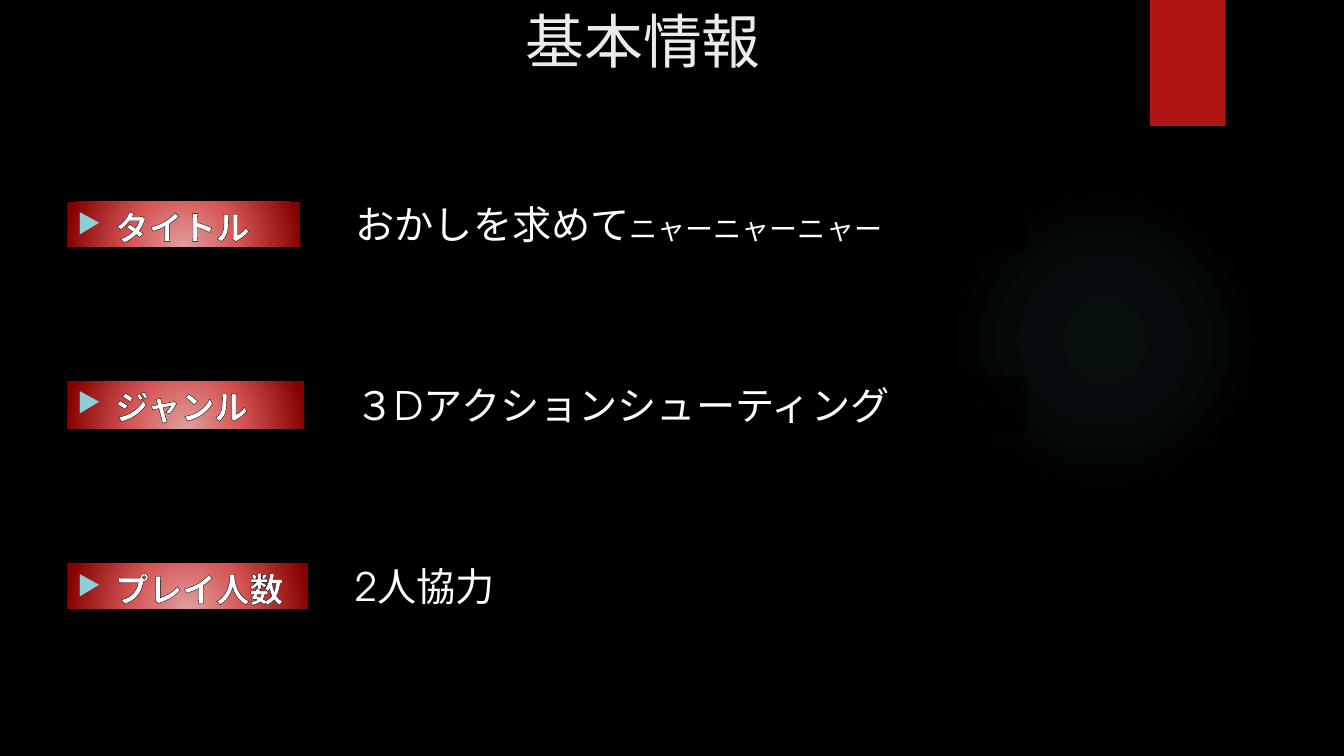
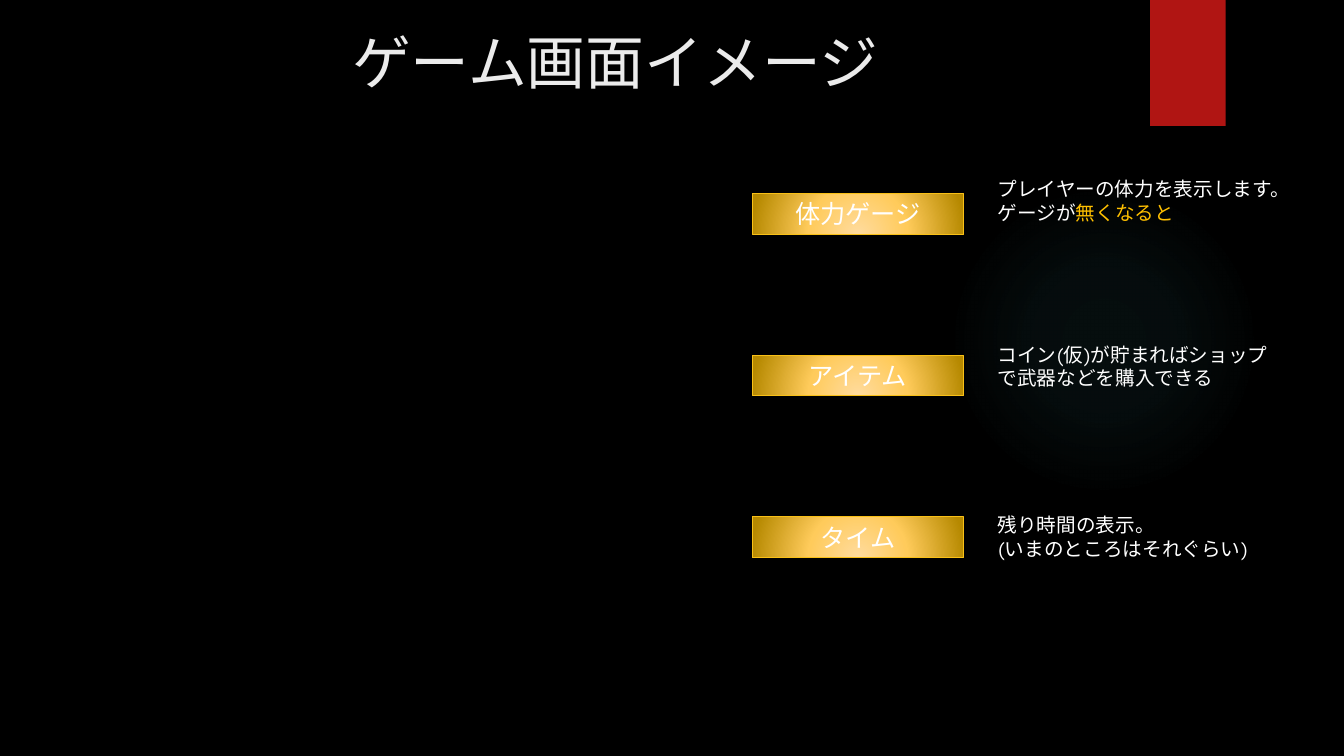
from lxml.etree import SubElement
from pptx import Presentation
from pptx.dml.color import RGBColor
from pptx.enum.lang import MSO_LANGUAGE_ID as Lang
from pptx.enum.shapes import MSO_SHAPE as Shape
from pptx.enum.text import MSO_ANCHOR as Anchor, PP_ALIGN as Align
from pptx.oxml import parse_xml
from pptx.oxml.ns import nsdecls, qn
from pptx.util import Pt

FONT = "TeX Gyre Adventor"
COLORS = {
    "black": "000000", "white": "FFFFFF", "title": "EBEBEB", "banner": "B01513",
    "bullet": "8AD0D6", "glow": "50B9C1", "gold line": "F9C016", "warning": "FFC000",
}
# Gradient stops: position, colour, opacity (all but the colour in percent)
GLOW = [(0, COLORS["glow"], 7), (36, COLORS["glow"], 6), (69, COLORS["glow"], 0)]
RED = [(0, "E09F9F", 100), (46, "D65555", 100), (100, "830200", 100)]
GOLD = [(0, "FFDB9E", 100), (46, "FFCB5B", 100), (100, "B68900", 100)]
VEIL = [(0, COLORS["black"], 50), (100, COLORS["black"], 50)]


def add_box(slide, box, fill, kind=Shape.RECTANGLE, line=None, focus=155):
    """Fill with a hex colour, or with radial stops whose centre lies focus % down."""
    shape = slide.shapes.add_shape(kind, *map(Pt, box))
    shape.shadow.inherit = False
    if line:
        shape.line.color.rgb = RGBColor.from_string(line)
        shape.line.width = Pt(0.75)
    else:
        shape.line.fill.background()
    if isinstance(fill, str):
        shape.fill.solid()
        shape.fill.fore_color.rgb = RGBColor.from_string(fill)
        return shape
    stops = "".join(
        f'<a:gs pos="{pos * 1000}"><a:srgbClr val="{color}">'
        f'<a:alpha val="{opacity * 1000}"/></a:srgbClr></a:gs>'
        for pos, color, opacity in fill)
    gradient = parse_xml(
        f'<a:gradFill {nsdecls("a")} rotWithShape="1"><a:gsLst>{stops}</a:gsLst>'
        f'<a:path path="circle"><a:fillToRect l="50000" t="{focus * 1000}" '
        f'r="50000" b="{(100 - focus) * 1000}"/></a:path></a:gradFill>')
    shape.fill.background()
    properties = shape.element.spPr
    properties.replace(properties.find(qn("a:noFill")), gradient)
    return shape


def write_text(shape, paragraphs, size, color="white", align=Align.LEFT,
               anchor=Anchor.TOP, bold=False, bullet=False, outline=False):
    """Each paragraph is a list of (text, overrides of size and color)."""
    frame = shape.text_frame
    frame.word_wrap = True
    frame.vertical_anchor = anchor
    for index, runs in enumerate(paragraphs):
        paragraph = frame.add_paragraph() if index else frame.paragraphs[0]
        paragraph.alignment = align
        if bullet:
            props = paragraph._p.get_or_add_pPr()
            props.set("marL", str(Pt(27)))
            props.set("indent", str(-Pt(27)))
            tint = SubElement(props, qn("a:buClr"))
            SubElement(tint, qn("a:srgbClr"), val=COLORS["bullet"])
            SubElement(props, qn("a:buSzPct"), val="80000")
            SubElement(props, qn("a:buChar"), char="▶")
        for text, changes in runs:
            run = paragraph.add_run()
            run.text = text
            font = run.font
            font.name, font.bold = FONT, bold
            font.language_id = Lang.JAPANESE
            font.size = Pt(changes.get("size", size))
            font.color.rgb = RGBColor.from_string(COLORS[changes.get("color", color)])
            if outline:
                run._r.get_or_add_rPr().insert(0, parse_xml(
                    f'<a:ln {nsdecls("a")} w="{Pt(1.06)}"><a:solidFill>'
                    f'<a:srgbClr val="{COLORS["black"]}"/></a:solidFill></a:ln>'))


prs = Presentation()
prs.slide_width, prs.slide_height = Pt(960), Pt(540)
backdrop = prs.slide_master.background.fill
backdrop.solid()
backdrop.fore_color.rgb = RGBColor.from_string(COLORS["black"])

# What both slides share: glow, banner and title
slides = []
for heading, box in [("基本情報", (45.4, 0, 828, 104.4)),
                     ("ゲーム画面イメージ", (69, 14.4, 741, 75.6))]:
    slide = prs.slides.add_slide(prs.slide_layouts[5])
    add_box(slide, (677.5, 131.8, 221.8, 221.8), GLOW, Shape.OVAL, focus=50)
    add_box(slide, (821.5, 0, 54, 90), COLORS["banner"])
    title = slide.shapes.title
    title.left, title.top, title.width, title.height = map(Pt, box)
    write_text(title, [[(heading, {})]], 42, "title", Align.CENTER)
    slides.append(slide)
basics, screen = slides

# Basic facts: red label and its value
facts = [
    ("タイトル", 144, 166.3, 32.4,
     [("おかしを求めて", {}), ("ニャーニャーニャー", {"size": 20})]),
    ("ジャンル", 272.2, 169.2, 33.8, [("３Dアクションシューティング", {})]),
    ("プレイ人数", 402.5, 172.1, 32.4, [("2人協力", {})]),
]
for row, (label, top, width, height, value) in enumerate(facts):
    answer = add_box(basics, (247, 139.6 + row * 129.3, 486.7, 41), VEIL)
    write_text(answer, [value], 28)
    tag = add_box(basics, (48.2, top, width, height), RED)
    write_text(tag, [[(label, {})]], 24, bold=True, bullet=True, outline=True)

# Screen elements: gold label and its explanation
elements = [
    ("体力ゲージ", 123.1, [[("プレイヤーの体力を表示します。", {})],
                      [("ゲージが", {}), ("無くなると", {"color": "warning"})]]),
    ("アイテム", 241.2, [[("コイン(仮)が貯まればショップで武器などを購入できる", {})]]),
    ("タイム", 362.9, [[("残り時間の表示。", {})], [("(いまのところはそれぐらい)", {})]]),
]
for row, (label, top, explanation) in enumerate(elements):
    tag = add_box(screen, (537.5, 138.2 + row * 115.5, 150.8, 29.1), GOLD,
                  line=COLORS["gold line"])
    write_text(tag, [[(label, {})]], 18, align=Align.CENTER, anchor=Anchor.MIDDLE)
    note = screen.shapes.add_textbox(*map(Pt, (705.6, top, 215.3, 41)))
    write_text(note, explanation, 14)

prs.save("out.pptx")
